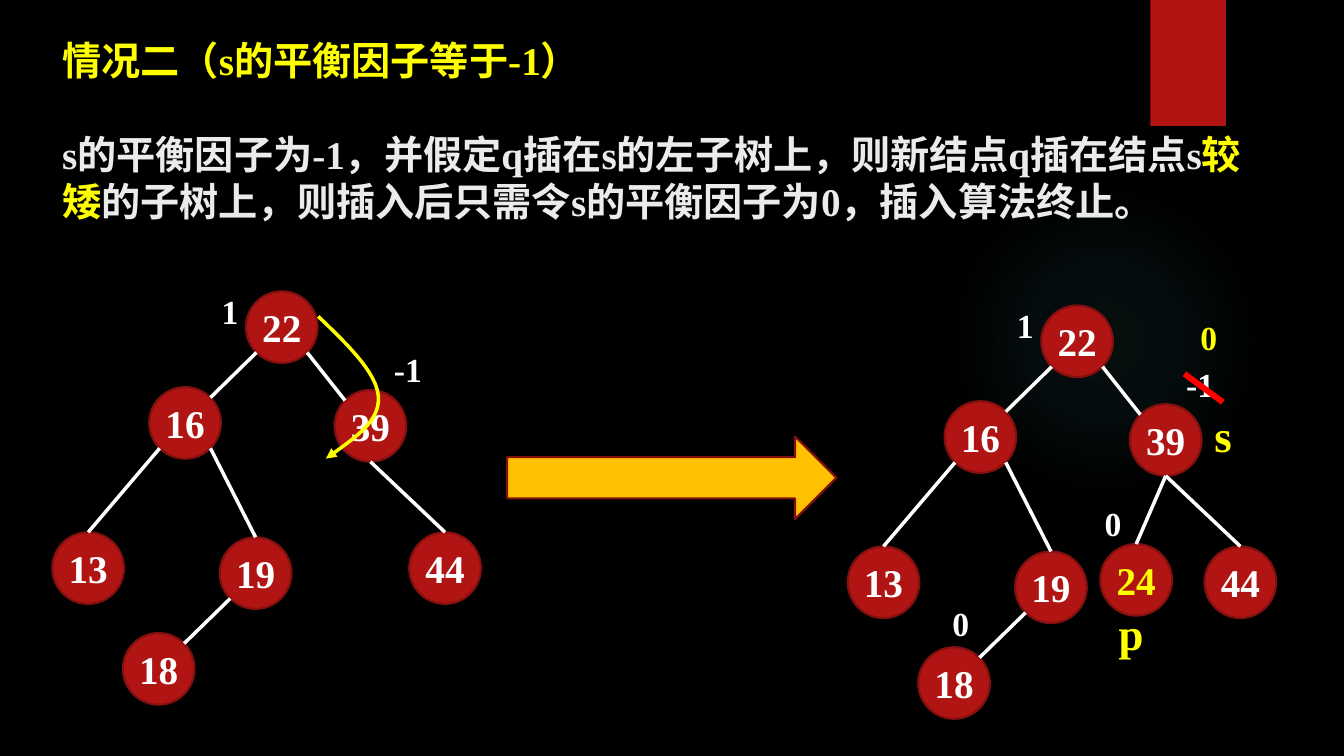
from lxml import etree
from pptx import Presentation
from pptx.dml.color import RGBColor
from pptx.enum.shapes import MSO_CONNECTOR, MSO_SHAPE
from pptx.enum.text import MSO_ANCHOR, MSO_AUTO_SIZE, PP_ALIGN
from pptx.oxml import parse_xml
from pptx.oxml.ns import nsdecls, qn
from pptx.util import Pt

ELLIPSE, RECTANGLE = MSO_SHAPE.OVAL, MSO_SHAPE.RECTANGLE
RIGHT_ARROW = MSO_SHAPE.RIGHT_ARROW
STRAIGHT = MSO_CONNECTOR.STRAIGHT
CENTER, LEFT = PP_ALIGN.CENTER, PP_ALIGN.LEFT
MIDDLE, TOP = MSO_ANCHOR.MIDDLE, MSO_ANCHOR.TOP
NO_AUTOFIT = MSO_AUTO_SIZE.NONE

FONT = "Times New Roman"
BLACK, WHITE, LIGHT = "000000", "FFFFFF", "EBEBEB"
YELLOW, GOLD = "FFFF00", "FFC000"
RED, DARK_RED, BRIGHT_RED, TEAL = "B01513", "82100E", "FF0000", "50B9C1"

NODE_SIZE = 51.2
DIAGONAL = 0.146  # inset of a circle's 45-degree point, as a share of its size
ANCHORS = {
    "top": (0.5, 0),
    "bottom": (0.5, 1),
    "top right": (1 - DIAGONAL, DIAGONAL),
    "top left": (DIAGONAL, DIAGONAL),
    "bottom left": (DIAGONAL, 1 - DIAGONAL),
    "bottom right": (1 - DIAGONAL, 1 - DIAGONAL),
}
TREE_NODES = {
    "18": (87.8, 452.2), "22": (175.7, 208.1), "16": (106.6, 276.5),
    "39": (239, 278.6), "44": (292.3, 380.2), "19": (157, 383.8),
    "13": (37.4, 380.2),
}
TREE_EDGES = [
    ("22", "bottom left", "16", "top right"),
    ("22", "bottom right", "39", "top left"),
    ("16", "bottom left", "13", "top"),
    ("16", "bottom right", "19", "top"),
    ("39", "bottom", "44", "top"),
    ("19", "bottom left", "18", "top right"),
]


def color(hex_string):
    return RGBColor.from_string(hex_string)


def add_run(paragraph, text, size, hex_color):
    run = paragraph.add_run()
    run.text = text
    run.font.name = FONT
    run.font.size = Pt(size)
    run.font.bold = True
    run.font.color.rgb = color(hex_color)


def place(shape, left, top, width, height):
    shape.left, shape.top = Pt(left), Pt(top)
    shape.width, shape.height = Pt(width), Pt(height)


def add_filled(slide, kind, box, fill, outline=None):
    shape = slide.shapes.add_shape(kind, *map(Pt, box))
    shape.shadow.inherit = False
    shape.fill.solid()
    shape.fill.fore_color.rgb = color(fill)
    if outline:
        shape.line.color.rgb = color(outline)
        shape.line.width = Pt(1.5)
    else:
        shape.line.fill.background()
    return shape


def add_glow(slide, box):
    """Add a circle whose faint colour fades out towards its rim."""
    shape = add_filled(slide, ELLIPSE, box, TEAL)
    stops = "".join(
        f'<a:gs pos="{position}000"><a:srgbClr val="{TEAL}">'
        f'<a:alpha val="{alpha}000"/></a:srgbClr></a:gs>'
        for position, alpha in [(0, 7), (36, 6), (69, 0), (100, 0)])
    gradient = parse_xml(
        f'<a:gradFill {nsdecls("a")}><a:gsLst>{stops}</a:gsLst>'
        '<a:path path="circle"><a:fillToRect l="50000" t="50000" '
        'r="50000" b="50000"/></a:path></a:gradFill>')
    properties = shape._element.spPr
    properties.replace(properties.find(qn("a:solidFill")), gradient)


def add_text(slide, box, runs, size, wrap=False):
    """Add a one-paragraph text box from (text, colour) runs."""
    frame = slide.shapes.add_textbox(*map(Pt, box)).text_frame
    frame.word_wrap = wrap
    for text, hex_color in runs:
        add_run(frame.paragraphs[0], text, size, hex_color)


def add_label(slide, left, top, text, hex_color=WHITE):
    width = 26.6 if len(text) == 1 else 34.6
    add_text(slide, (left, top, width, 36), [(text, hex_color)], 24)


def add_pointer_name(slide, left, top, text):
    add_text(slide, (left, top, 53.3, 46), [(text, YELLOW)], 32, wrap=True)


def add_node(slide, position, text, hex_color=WHITE):
    shape = add_filled(slide, ELLIPSE, (*position, NODE_SIZE, NODE_SIZE),
                       RED, DARK_RED)
    frame = shape.text_frame
    frame.margin_left = frame.margin_right = 0
    frame.vertical_anchor = MIDDLE
    paragraph = frame.paragraphs[0]
    paragraph.alignment = CENTER
    add_run(paragraph, text, 28, hex_color)


def add_line(slide, start, end, hex_color=WHITE, width=2.5):
    line = slide.shapes.add_connector(STRAIGHT, *map(Pt, (*start, *end)))
    line.line.color.rgb = color(hex_color)
    line.line.width = Pt(width)
    etree.SubElement(line._element.spPr, qn("a:effectLst"))


def anchor_point(position, anchor):
    return tuple(start + share * NODE_SIZE
                 for start, share in zip(position, ANCHORS[anchor]))


def add_tree(slide, dx, dy):
    """Draw the shared tree, shifted, and return its node positions."""
    nodes = {key: (x + dx, y + dy) for key, (x, y) in TREE_NODES.items()}
    for key, position in nodes.items():
        add_node(slide, position, key)
    for parent, parent_anchor, child, child_anchor in TREE_EDGES:
        add_line(slide, anchor_point(nodes[parent], parent_anchor),
                 anchor_point(nodes[child], child_anchor))
    add_label(slide, 151.2 + dx, 204.5 + dy, "1")
    return nodes


def add_curved_arrow(slide, start, controls):
    """Draw Bezier curves, three control points each, ending in an arrowhead."""
    builder = slide.shapes.build_freeform(Pt(start[0]), Pt(start[1]), scale=1.0)
    builder.add_line_segments([(Pt(x), Pt(y)) for x, y in controls], close=False)
    shape = builder.convert_to_shape()
    shape.shadow.inherit = False
    shape.fill.background()
    shape.line.color.rgb = color(YELLOW)
    shape.line.width = Pt(2.5)
    segments = list(shape._element.iter(qn("a:lnTo")))
    outline = segments[0].getparent()
    for first in range(0, len(segments), 3):
        curve = etree.SubElement(outline, qn("a:cubicBezTo"))
        for segment in segments[first:first + 3]:
            curve.append(segment[0])
            outline.remove(segment)
    line = shape._element.spPr.find(qn("a:ln"))
    etree.SubElement(line, qn("a:tailEnd"), type="triangle")


def add_title(slide, text):
    title = slide.shapes.title
    place(title, 37.4, 22.3, 871.2, 42)
    frame = title.text_frame
    frame.auto_size = NO_AUTOFIT
    frame.vertical_anchor = TOP
    frame.paragraphs[0].alignment = LEFT
    add_run(frame.paragraphs[0], text, 28, YELLOW)


def main():
    presentation = Presentation()
    presentation.slide_width, presentation.slide_height = Pt(960), Pt(540)
    slide = presentation.slides.add_slide(presentation.slide_layouts[5])
    slide.background.fill.solid()
    slide.background.fill.fore_color.rgb = color(BLACK)

    add_glow(slide, (677.5, 131.8, 221.8, 221.8))
    add_filled(slide, RECTANGLE, (821.7, 0, 54, 90), RED)
    add_title(slide, "情况二（s的平衡因子等于-1）")
    add_text(slide, (37.4, 89.5, 871.2, 110), [
        ("s的平衡因子为-1，并假定q插在s的左子树上，则新结点q插在结点s", LIGHT),
        ("较矮", YELLOW),
        ("的子树上，则插入后只需令s的平衡因子为0，插入算法终止。", LIGHT),
    ], 28, wrap=True)

    add_tree(slide, 0, 0)
    add_label(slide, 274.3, 245.5, "-1")
    add_curved_arrow(slide, (227.3, 226), [
        (248.4, 246.2), (269.3, 266.4), (270.3, 283.5),
        (271.3, 300.2), (252, 314), (232.8, 327.6)])
    add_filled(slide, RIGHT_ARROW, (362.2, 311.8, 235.2, 59), GOLD, DARK_RED)

    nodes = add_tree(slide, 568.1, 10.1)
    inserted = (786, 388.6)
    add_node(slide, inserted, "24", YELLOW)
    add_line(slide, anchor_point(nodes["39"], "bottom"),
             anchor_point(inserted, "top"))
    add_label(slide, 840.2, 256.3, "-1")
    add_label(slide, 673.2, 427, "0")
    add_label(slide, 782, 355.7, "0")
    add_label(slide, 850.3, 222.5, "0", YELLOW)
    add_pointer_name(slide, 792, 429.1, "p")
    add_pointer_name(slide, 860.4, 288, "s")
    add_line(slide, (846, 267), (873.5, 287.3), BRIGHT_RED, 4.25)

    presentation.save("out.pptx")


if __name__ == "__main__":
    main()
